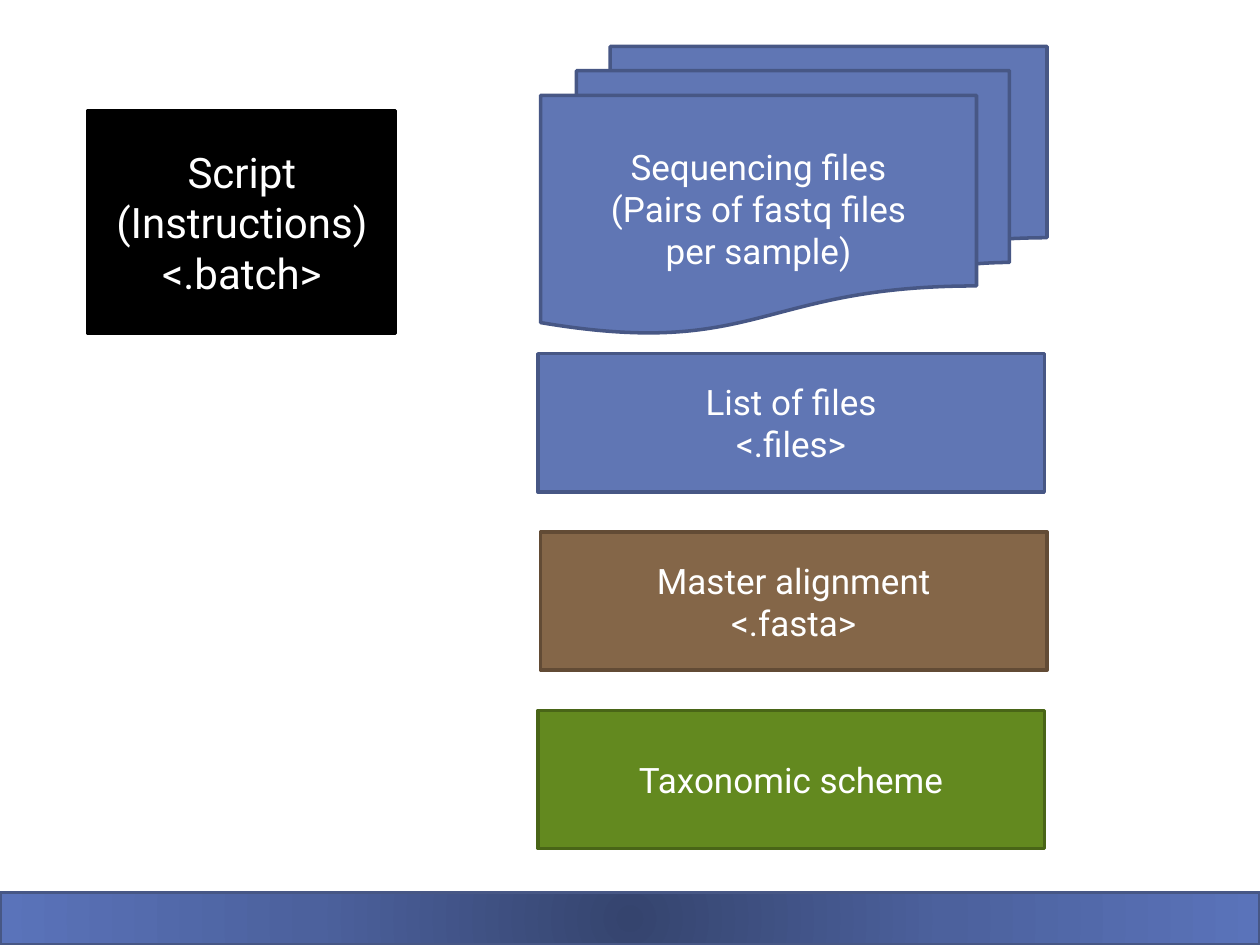
from lxml import etree
from pptx import Presentation
from pptx.dml.color import RGBColor
from pptx.enum import shapes, text
from pptx.oxml import ns
from pptx.util import Pt

WHITE = RGBColor(0xFF, 0xFF, 0xFF)
BLACK = RGBColor(0x00, 0x00, 0x00)
BLUE = RGBColor(0x60, 0x76, 0xB4)
DARK_BLUE = RGBColor(0x47, 0x57, 0x85)
BROWN = RGBColor(0x84, 0x66, 0x48)
DARK_BROWN = RGBColor(0x62, 0x4B, 0x35)
GREEN = RGBColor(0x63, 0x89, 0x1F)
DARK_GREEN = RGBColor(0x49, 0x65, 0x17)
GLOW = [
    (0, RGBColor(0x35, 0x44, 0x6E)),
    (50, RGBColor(0x4C, 0x61, 0x9D)),
    (100, RGBColor(0x5A, 0x73, 0xBA)),
]
FONT = "Roboto"
RECTANGLE = shapes.MSO_SHAPE.RECTANGLE
DOCUMENTS = shapes.MSO_SHAPE.FLOWCHART_MULTIDOCUMENT


def add_block(page, box, fill, line, lines=(), size=20, kind=RECTANGLE):
    """Draw a filled shape with one centred paragraph for each line of text."""
    shape = page.shapes.add_shape(kind, *(Pt(length) for length in box))
    shape.shadow.inherit = False
    shape.fill.solid()
    shape.fill.fore_color.rgb = fill
    shape.line.color.rgb = line
    shape.line.width = Pt(2)
    frame = shape.text_frame
    frame.word_wrap = True
    frame.vertical_anchor = text.MSO_ANCHOR.MIDDLE
    for index, words in enumerate(lines):
        para = frame.add_paragraph() if index else frame.paragraphs[0]
        para.alignment = text.PP_ALIGN.CENTER
        span = para.add_run()
        span.text = words
        span.font.name = FONT
        span.font.size = Pt(size)
        span.font.color.rgb = WHITE
    return shape


def add_footer(page, box):
    """Draw the bottom band with a radial gradient that is dark in the middle."""
    band = add_block(page, box, BLUE, DARK_BLUE)
    band.fill.gradient()
    gradient = band.element.spPr.find(ns.qn("a:gradFill"))
    for child in list(gradient):
        gradient.remove(child)
    stops = etree.SubElement(gradient, ns.qn("a:gsLst"))
    for percent, colour in GLOW:
        stop = etree.SubElement(stops, ns.qn("a:gs"), pos=str(percent * 1000))
        etree.SubElement(stop, ns.qn("a:srgbClr"), val=str(colour))
    circle = etree.SubElement(gradient, ns.qn("a:path"), path="circle")
    centre = dict.fromkeys("ltrb", "50000")
    etree.SubElement(circle, ns.qn("a:fillToRect"), centre)


def add_inputs(page, box):
    """Stack the sequencing files above three equally spaced input blocks."""
    left, top, width, height = box
    block_height, step, first, nudge = 79, 101.9, 175.5, 1.5
    add_block(
        page, (left + nudge, top, width, 164), BLUE, DARK_BLUE,
        ["Sequencing files", "(Pairs of fastq files", "per sample)"],
        kind=DOCUMENTS,
    )
    blocks = [
        (0, BLUE, DARK_BLUE, ["List of files", "<.files>"]),
        (nudge, BROWN, DARK_BROWN, ["Master alignment", "<.fasta>"]),
        (0, GREEN, DARK_GREEN, ["Taxonomic scheme"]),
    ]
    for row, (shift, fill, line, lines) in enumerate(blocks):
        place = (left + shift, top + first + row * step, width, block_height)
        add_block(page, place, fill, line, lines)


def main():
    """Build the pipeline slide and save it."""
    deck = Presentation()
    deck.slide_width, deck.slide_height = Pt(720), Pt(540)
    page = deck.slides.add_slide(deck.slide_layouts[6])
    add_footer(page, (0, 510, 720, 30))
    add_block(
        page, (50.4, 63.2, 175.7, 127.4), BLACK, BLACK,
        ["Script", "(Instructions)", "<.batch>"], size=24,
    )
    add_inputs(page, (307.4, 26.6, 289.4, 459))
    deck.save("out.pptx")


if __name__ == "__main__":
    main()
